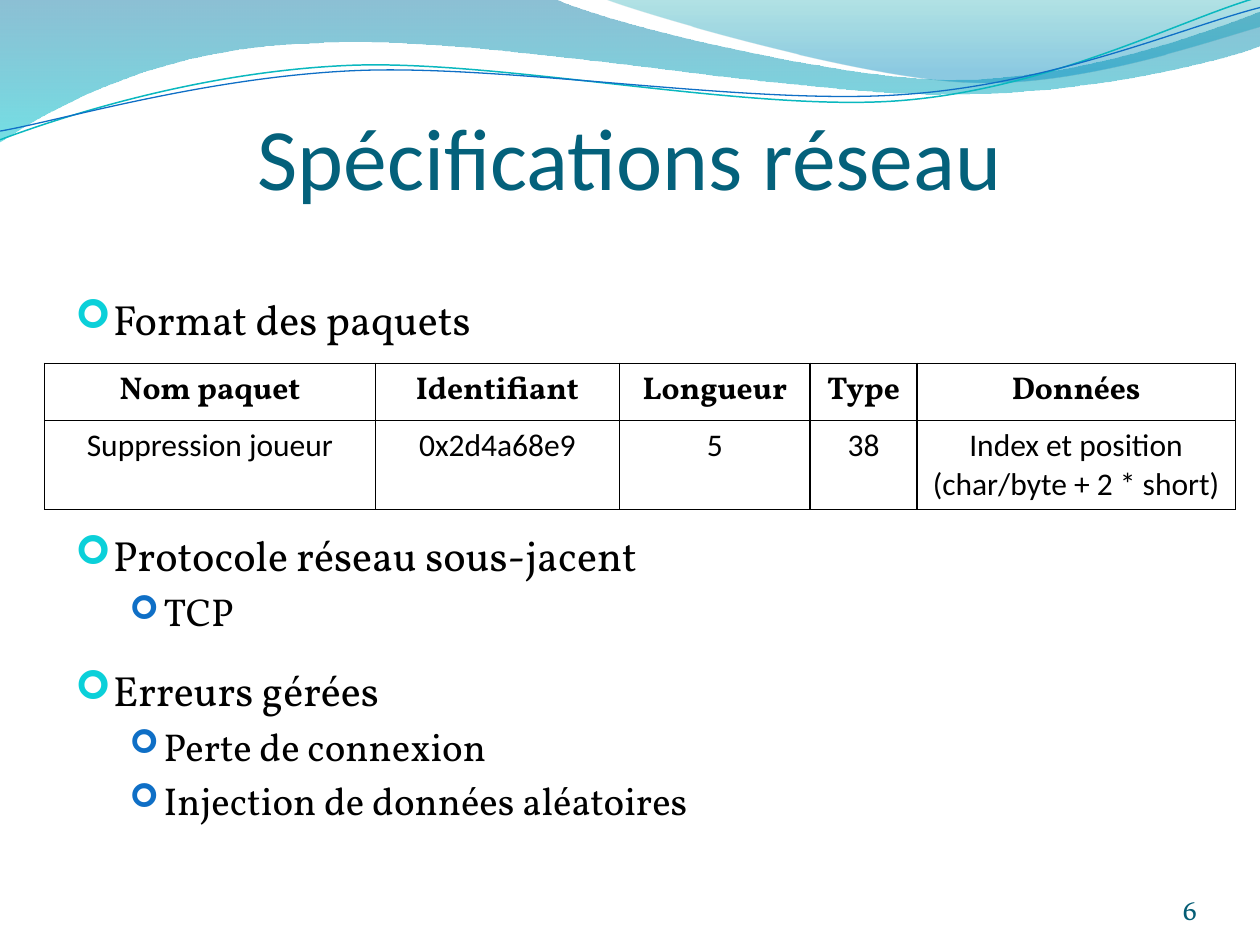
from dataclasses import dataclass

from lxml.etree import SubElement
from pptx import Presentation
from pptx.dml.color import RGBColor
from pptx.enum.text import MSO_ANCHOR as Anchor, PP_ALIGN as Align
from pptx.oxml.ns import qn
from pptx.util import Pt


@dataclass(frozen=True)
class Theme:
    heading: str = "Calibri"
    serif: str = "Vollkorn"
    symbol: str = "Wingdings"
    ink: str = "000000"
    title: str = "04617B"
    number: str = "045D75"
    bullets: tuple = ("0BD0D9", "0F6FC6")
    title_size: float = 50
    body_sizes: tuple = (24.1, 22.2)
    table_size: float = 18
    number_size: float = 16


THEME = Theme()

WAVES = [
    ((0, 0), [(316.8, -0.7), (342.7, 12.2, 478.1, 45.4, 545.8, 45.4),
              (614.2, 45.4, 689.8, 18.7, 720, 6.5), (720.7, 25.9),
              (707.8, 31.7, 626.4, 54.7, 537.1, 54),
              (447.8, 54, 275, 20.2, 185, 24.5),
              (92.9, 25.9, 33.1, 59.8, -0.7, 81.4), (0, 0)],
     [(0, "0074A1", 45), (1, "00C6CF", 55)]),
    ((344.9, -0.7), [(366.5, 7.9, 491, 44.6, 553.7, 46.8),
                     (616.3, 49.7, 691.9, 23, 720, 15.1), (720, 0),
                     (344.9, -0.7)],
     [(0, "00A1A9", 30), (0.8, "008BBF", 45)]),
]
RIPPLES = [
    ((0, 79.9), [(34.6, 67, 113.8, 41, 199.4, 37.4),
                 (284.4, 33.8, 427, 64.1, 513.4, 57.6),
                 (599.8, 51.1, 675.4, 10.8, 718.6, -1.4)], "0AB8BF", 0.85),
    ((0, 74.9), [(33.8, 69.1, 118.1, 43.9, 203.8, 40.3),
                 (290.2, 36.7, 429.8, 60.5, 516.2, 54),
                 (601.9, 48.2, 677.5, 15.1, 720, 4.3)], "0F6FC6", 0.75),
]
POINTS = [
    (0, "Format des paquets", 0),
    (0, "Protocole réseau sous-jacent", 105),
    (1, "TCP", 1),
    (0, "Erreurs gérées", 16),
    (1, "Perte de connexion", 1),
    (1, "Injection de données aléatoires", 1),
]
PACKETS = [
    ["Nom paquet", "Identifiant", "Longueur", "Type", "Données"],
    ["Suppression joueur", "0x2d4a68e9", "5", "38",
     "Index et position\n(char/byte + 2 * short)"],
]
COLUMN_WIDTHS = [189, 139.5, 109, 61, 182]
ROW_HEIGHTS = [32.5, 51]


def add_outline(page, box, start, segments, close):
    left, top = box[:2]
    flat = [pair for segment in segments for pair in zip(segment[::2], segment[1::2])]
    points = [(Pt(left + x), Pt(top + y)) for x, y in [start, *flat]]
    builder = page.shapes.build_freeform(*points[0])
    builder.add_line_segments(points[1:], close=close)
    outline = builder.convert_to_shape()
    outline.shadow.inherit = False
    nodes = iter(list(outline.element.spPr.iter(qn("a:lnTo"))))
    for segment in segments:
        curve = next(nodes)
        if len(segment) == 6:
            curve.tag = qn("a:cubicBezTo")
            for node in (next(nodes), next(nodes)):
                curve.append(node[0])
                node.getparent().remove(node)
    return outline


def add_header(page, box):
    for start, segments, stops in WAVES:
        wave = add_outline(page, box, start, segments, True)
        wave.line.fill.background()
        wave.fill.gradient()
        wave.fill.gradient_angle = 270
        for stop, (position, color, _) in zip(wave.fill.gradient_stops, stops):
            stop.position = position
            stop.color.rgb = RGBColor.from_string(color)
        colors = wave.element.spPr.iter(qn("a:srgbClr"))
        for color, (_, _, opacity) in zip(list(colors), stops):
            SubElement(color, qn("a:alpha"), val=str(opacity * 1000))
    for start, segments, color, width in RIPPLES:
        ripple = add_outline(page, box, start, segments, False)
        ripple.fill.background()
        ripple.line.color.rgb = RGBColor.from_string(color)
        ripple.line.width = Pt(width)


def add_frame(page, box, anchor=Anchor.TOP, insets=(0, 0, 0, 0)):
    frame = page.shapes.add_textbox(*map(Pt, box)).text_frame
    frame.word_wrap = True
    frame.vertical_anchor = anchor
    (frame.margin_left, frame.margin_top,
     frame.margin_right, frame.margin_bottom) = map(Pt, insets)
    return frame


def write(para, text, font, size, color, align=Align.LEFT, bold=False):
    para.alignment = align
    span = para.add_run()
    span.text = text
    span.font.name = font
    span.font.size = Pt(size)
    span.font.bold = bold
    span.font.color.rgb = RGBColor.from_string(color)


def add_title(page, box):
    frame = add_frame(page, box, insets=(0, 3.6, 0, 0))
    write(frame.paragraphs[0], "Spécifications réseau", THEME.heading,
          THEME.title_size, THEME.title, Align.CENTER)


def add_number(page, box):
    frame = add_frame(page, box, Anchor.BOTTOM)
    write(frame.paragraphs[0], "6", THEME.serif, THEME.number_size,
          THEME.number, Align.RIGHT)


def add_bullet(para, level):
    margin, hang, scale = [(21.6, 21.6, 95), (50.4, 19.4, 85)][level]
    props = para._p.get_or_add_pPr()
    props.set("marL", str(Pt(margin)))
    props.set("indent", str(-Pt(hang)))
    color = SubElement(props, qn("a:buClr"))
    SubElement(color, qn("a:srgbClr"), val=THEME.bullets[level])
    SubElement(props, qn("a:buSzPct"), val=str(scale * 1000))
    SubElement(props, qn("a:buFont"), typeface=THEME.symbol, charset="2")
    SubElement(props, qn("a:buChar"), char="➢")


def add_points(page, box):
    frame = add_frame(page, box, insets=(7.2, 14.1, 7.2, 3.6))
    for index, (level, text, gap) in enumerate(POINTS):
        para = frame.add_paragraph() if index else frame.paragraphs[0]
        para.level = level
        para.line_spacing = Pt(30)
        para.space_before = Pt(gap)
        add_bullet(para, level)
        write(para, text, THEME.serif, THEME.body_sizes[level], THEME.ink)


def add_borders(cell):
    props = cell._tc.get_or_add_tcPr()
    for side in ("lnL", "lnR", "lnT", "lnB"):
        line = SubElement(props, qn(f"a:{side}"), w=str(Pt(1)))
        fill = SubElement(line, qn("a:solidFill"))
        SubElement(fill, qn("a:srgbClr"), val=THEME.ink)


def add_packets(page, box):
    table = page.shapes.add_table(len(PACKETS), len(PACKETS[0]), *map(Pt, box)).table
    for column, width in zip(table.columns, COLUMN_WIDTHS):
        column.width = Pt(width)
    for row, height, texts in zip(table.rows, ROW_HEIGHTS, PACKETS):
        row.height = Pt(height)
        header = texts is PACKETS[0]
        font = THEME.serif if header else THEME.heading
        for cell, text in zip(row.cells, texts):
            add_borders(cell)
            cell.fill.background()
            for index, line in enumerate(text.split("\n")):
                frame = cell.text_frame
                para = frame.add_paragraph() if index else frame.paragraphs[0]
                write(para, line, font, THEME.table_size, THEME.ink,
                      Align.CENTER, header)


def main():
    deck = Presentation()
    deck.slide_width, deck.slide_height = Pt(720), Pt(540)
    page = deck.slides.add_slide(deck.slide_layouts[6])
    add_header(page, (0, 0, 720, 82))
    add_title(page, (36, 55.5, 648, 90))
    add_points(page, (36, 152.6, 648, 345.6))
    add_number(page, (624, 500, 60, 29))
    add_packets(page, (25.5, 207.7, sum(COLUMN_WIDTHS), sum(ROW_HEIGHTS)))
    deck.save("out.pptx")


if __name__ == "__main__":
    main()
